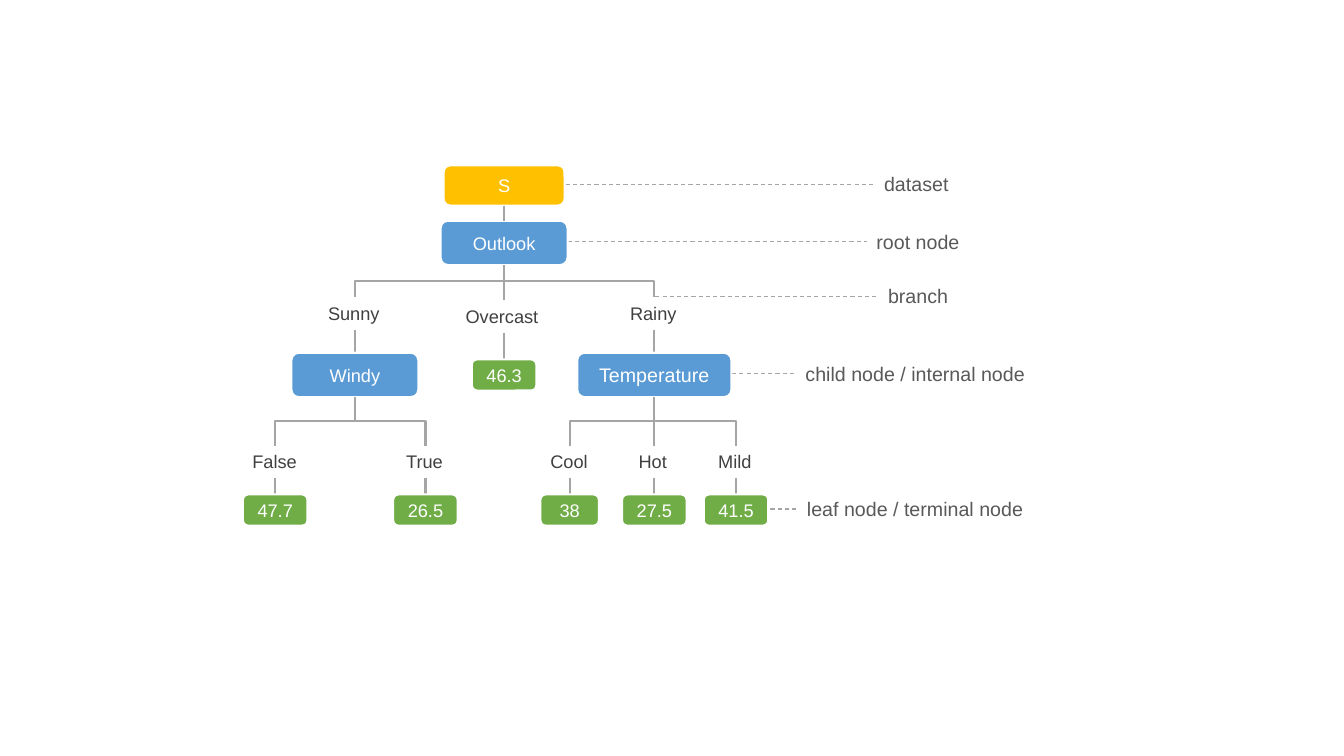
from pptx import Presentation
from pptx.dml.color import RGBColor
from pptx.enum.dml import MSO_LINE
from pptx.enum.shapes import MSO_CONNECTOR, MSO_SHAPE
from pptx.enum.text import MSO_ANCHOR, MSO_AUTO_SIZE, PP_ALIGN
from pptx.oxml.ns import qn
from pptx.util import Inches, Pt
from lxml.etree import SubElement

GOLD, BLUE, GREEN = "FFC000", "5B9BD5", "70AD47"
WHITE, GREY, DARK, MID = "FFFFFF", "A5A5A5", "404040", "595959"
LABEL_H, LEAF_H, NODE_H = 0.32, 0.31, 0.44


def color(hex_code):
    return RGBColor.from_string(hex_code)


def add_text(tf, text, size, hex_code):
    p = tf.paragraphs[0]
    r = p.add_run()
    r.text = text
    r.font.name = "Arial"
    r.font.size = Pt(size)
    r.font.color.rgb = color(hex_code)
    return p


def add_label(s, text, cx, top, width, height=LABEL_H, size=13, hex_code=DARK):
    box = s.shapes.add_textbox(Inches(cx - width / 2), Inches(top), Inches(width), Inches(height))
    tf = box.text_frame
    tf.word_wrap = False
    tf.auto_size = MSO_AUTO_SIZE.SHAPE_TO_FIT_TEXT
    add_text(tf, text, size, hex_code)


def add_node(s, text, cx, cy, width, height, fill, size=13):
    sp = s.shapes.add_shape(MSO_SHAPE.ROUNDED_RECTANGLE, Inches(cx - width / 2),
                            Inches(cy - height / 2), Inches(width), Inches(height))
    sp.shadow.inherit = False
    sp.fill.solid()
    sp.fill.fore_color.rgb = color(fill)
    sp.line.color.rgb = color(WHITE)
    sp.line.width = Pt(1.5)
    tf = sp.text_frame
    tf.margin_left = tf.margin_right = 0
    tf.vertical_anchor = MSO_ANCHOR.MIDDLE
    add_text(tf, text, size, WHITE).alignment = PP_ALIGN.CENTER


def add_line(s, x1, y1, x2, y2, kind=MSO_CONNECTOR.STRAIGHT, width=1.5):
    line = s.shapes.add_connector(kind, Inches(x1), Inches(y1), Inches(x2), Inches(y2))
    line.line.color.rgb = color(GREY)
    line.line.width = Pt(width)
    SubElement(line._element.spPr, qn("a:effectLst"))
    return line


def add_drop(s, x1, y1, x2, y2):
    """Join two points by a line that leaves and arrives vertically."""
    if x1 == x2:
        add_line(s, x1, y1, x2, y2)
        return
    cx, cy = (x1 + x2) / 2, (y1 + y2) / 2
    half_w, half_h = abs(x2 - x1) / 2, (y2 - y1) / 2
    side = 1 if x2 > x1 else -1
    line = add_line(s, cx + side * half_h, cy - half_w, cx - side * half_h, cy + half_w,
                    MSO_CONNECTOR.ELBOW)
    degrees = 270 if side > 0 else 90
    line._element.spPr.find(qn("a:xfrm")).set("rot", str(degrees * 60000))


def draw_branches(s, parent_x, parent_bottom, child_cy, branches):
    """Draw each labelled branch of a parent and the node it leads to."""
    for label, x, label_top, label_w, text, node_w, node_h, fill, size in branches:
        add_drop(s, parent_x, parent_bottom, x, label_top)
        add_label(s, label, x, label_top, label_w)
        add_line(s, x, label_top + LABEL_H, x, child_cy - node_h / 2)
        add_node(s, text, x, child_cy, node_w, node_h, fill, size)


def draw_tree(s, left, top):
    root_x, windy_x, temp_x = left + 2.59, left + 1.11, left + 4.08
    data_cy, root_cy, child_cy, leaf_cy = top + 0.2, top + 0.77, top + 2.08, top + 3.42
    upper, lower = top + 1.31, top + 2.78

    add_node(s, "S", root_x, data_cy, 1.2, 0.4, GOLD)
    add_node(s, "Outlook", root_x, root_cy, 1.26, NODE_H, BLUE)
    add_line(s, root_x, data_cy + 0.2, root_x, root_cy - NODE_H / 2)
    draw_branches(s, root_x, root_cy + NODE_H / 2, child_cy, [
        ("Sunny", windy_x, upper, 0.73, "Windy", 1.26, NODE_H, BLUE, 13),
        ("Overcast", root_x, upper + 0.03, 0.96, "46.3", 0.64, LEAF_H, GREEN, 13),
        ("Rainy", temp_x, upper, 0.68, "Temperature", 1.53, NODE_H, BLUE, 14),
    ])
    for parent_x, leaves in (
        (windy_x, [("False", 0.32, 0.65, "47.7", 0.64), ("True", 1.81, 0.58, "26.5", 0.64)]),
        (temp_x, [("Cool", 3.24, 0.58, "38", 0.58), ("Hot", 4.08, 0.51, "27.5", 0.64),
                  ("Mild", 4.89, 0.55, "41.5", 0.64)]),
    ):
        draw_branches(s, parent_x, child_cy + NODE_H / 2, leaf_cy, [
            (label, left + dx, lower, label_w, value, leaf_w, LEAF_H, GREEN, 13)
            for label, dx, label_w, value, leaf_w in leaves])


def draw_callouts(s, center_x, top):
    """Name the parts of the tree in a centred column with dashed leaders."""
    elbow, straight = MSO_CONNECTOR.ELBOW, MSO_CONNECTOR.STRAIGHT
    for text, dy, width, reach, kind in (
        ("dataset", 0.19, 0.92, 3.52, elbow),
        ("root node", 0.76, 1.07, 3.5, elbow),
        ("branch", 1.3, 0.84, 2.63, straight),
        ("child node / internal node", 2.07, 2.48, 1.94, elbow),
        ("leaf node / terminal node", 3.41, 2.45, 1.56, elbow),
    ):
        y = top + dy
        leader = add_line(s, center_x - reach, y, center_x - width / 2, y, kind, 0.75)
        leader.line.dash_style = MSO_LINE.DASH
        add_label(s, text, center_x, y - 0.17, width, 0.34, 14, MID)


def main():
    prs = Presentation()
    prs.slide_width, prs.slide_height = Inches(13.33), Inches(7.5)
    s = prs.slides.add_slide(prs.slide_layouts[6])
    draw_callouts(s, 9.13, 1.64)
    draw_tree(s, 2.41, 1.64)
    prs.save("out.pptx")


if __name__ == "__main__":
    main()
